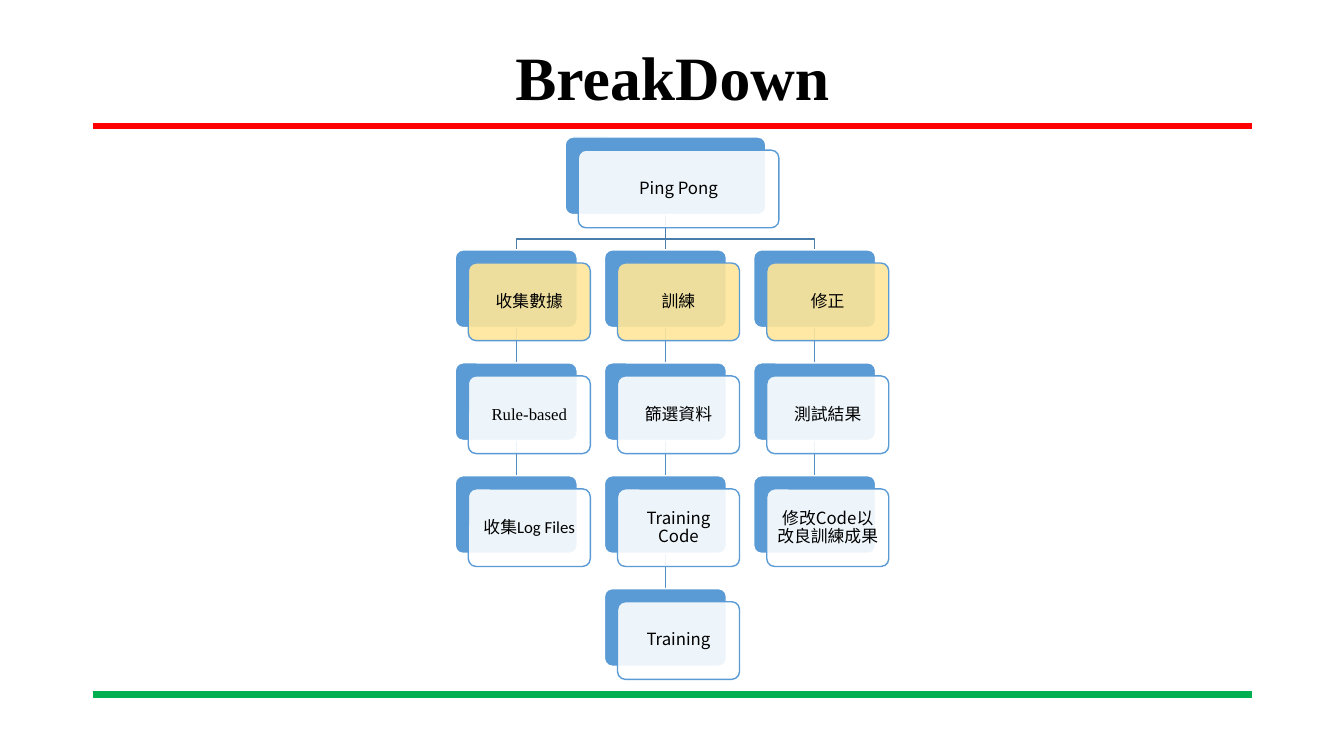
import pptx
import pptx.util
import pptx.dml.color
import pptx.enum.shapes
import pptx.enum.text
import pptx.oxml
import pptx.oxml.ns

Inches = pptx.util.Inches
Pt = pptx.util.Pt
RGBColor = pptx.dml.color.RGBColor

BLACK = RGBColor(0x00, 0x00, 0x00)
WHITE = RGBColor(0xFF, 0xFF, 0xFF)
RED = RGBColor(0xFF, 0x00, 0x00)
GREEN = RGBColor(0x00, 0xB0, 0x50)
BLUE = RGBColor(0x5B, 0x9B, 0xD5)
YELLOW = RGBColor(0xFF, 0xE6, 0x99)
ROOT_LINK = RGBColor(0x49, 0x7C, 0xAB)
STEP_LINK = RGBColor(0x53, 0x8D, 0xC1)

SERIF = "Times New Roman"
SANS = "Calibri"
CJK = "Noto Sans CJK TC"


class BreakdownSlide:
    margin, content_width = 0.92, 11.5
    center, top = 6.6, 1.36
    column_step, row_step = 1.48, 1.12
    card_height, offset = 0.77, 0.13
    elbow_drop = 0.24

    def __init__(self, deck):
        self.page = deck.slides.add_slide(deck.slide_layouts[5])
        self.shapes = self.page.shapes

    def column_x(self, column):
        return self.center + column * self.column_step

    def row_y(self, row):
        return self.top + row * self.row_step

    def format_text(self, frame, font, size, bold=False):
        frame.word_wrap = True
        frame.vertical_anchor = pptx.enum.text.MSO_ANCHOR.MIDDLE
        for para in frame.paragraphs:
            para.alignment = pptx.enum.text.PP_ALIGN.CENTER
            para.line_spacing = 0.9
            for span in para.runs:
                span.font.name = font
                span.font.size = Pt(size)
                span.font.bold = bold
                span.font.color.rgb = BLACK
                east_asian = pptx.oxml.parse_xml(
                    f'<a:ea {pptx.oxml.ns.nsdecls("a")} typeface="{CJK}"/>')
                span.font._element.find(pptx.oxml.ns.qn("a:latin")).addnext(east_asian)

    def title(self, text):
        box = self.shapes.title
        box.left, box.top = Inches(self.margin), Inches(0.4)
        box.width, box.height = Inches(self.content_width), Inches(0.79)
        box.text_frame.text = text
        self.format_text(box.text_frame, SERIF, 44, bold=True)

    def line(self, start, end, color, width):
        connector = self.shapes.add_connector(
            pptx.enum.shapes.MSO_CONNECTOR.STRAIGHT,
            *(Inches(value) for value in start + end))
        connector.line.color.rgb = color
        connector.line.width = Pt(width)
        connector._element.spPr.append(
            pptx.oxml.parse_xml(f'<a:effectLst {pptx.oxml.ns.nsdecls("a")}/>'))

    def rule(self, y, color):
        self.line((self.margin, y), (self.margin + self.content_width, y), color, 4.5)

    def link(self, column, row):
        x = self.column_x(column)
        start, end = self.row_y(row) + self.card_height, self.row_y(row + 1)
        self.line((x, start), (x, end), STEP_LINK if row else ROOT_LINK, 1)

    def elbow(self, column):
        x, start = self.column_x(column), self.row_y(0) + self.card_height
        bend = start + self.elbow_drop
        corners = [(self.center, start), (self.center, bend), (x, bend), (x, self.row_y(1))]
        first, *others = [(Inches(across), Inches(down)) for across, down in corners]
        builder = self.shapes.build_freeform(*first)
        builder.add_line_segments(others, close=False)
        branch = builder.convert_to_shape()
        branch.shadow.inherit = False
        branch.fill.background()
        branch.line.color.rgb = ROOT_LINK
        branch.line.width = Pt(1)

    def panel(self, left, top, width, fill, outline):
        panel = self.shapes.add_shape(
            pptx.enum.shapes.MSO_SHAPE.ROUNDED_RECTANGLE,
            Inches(left), Inches(top), Inches(width), Inches(self.card_height))
        panel.adjustments[0] = 0.1
        panel.shadow.inherit = False
        panel.fill.solid()
        panel.fill.fore_color.rgb = fill
        panel.line.color.rgb = outline
        panel.line.width = Pt(1)
        return panel

    def card(self, column, row, text, font=CJK, fill=WHITE, width=1.21):
        left, top = self.column_x(column) - width / 2, self.row_y(row)
        self.panel(left, top, width, BLUE, WHITE)
        front = self.panel(left + self.offset, top + self.offset, width, fill, BLUE)
        color = front._element.spPr.find(".//" + pptx.oxml.ns.qn("a:srgbClr"))
        color.append(pptx.oxml.parse_xml(
            f'<a:alpha {pptx.oxml.ns.nsdecls("a")} val="90000"/>'))
        frame = front.text_frame
        frame.margin_left = frame.margin_right = Inches(0.05)
        frame.margin_top = frame.margin_bottom = Inches(0.05)
        frame.text = text
        self.format_text(frame, font, 12)


BRANCHES = {
    -1: [("收集數據", SANS), ("Rule-based", SERIF), ("收集Log Files", SANS)],
    0: [("訓練", SANS), ("篩選資料", CJK), ("Training Code", CJK), ("Training", CJK)],
    1: [("修正", CJK), ("測試結果", CJK), ("修改Code以改良訓練成果", CJK)],
}

deck = pptx.Presentation()
deck.slide_width, deck.slide_height = Inches(13.33), Inches(7.5)

slide = BreakdownSlide(deck)
slide.rule(1.25, RED)
slide.rule(6.89, GREEN)
slide.title("BreakDown")

for column, steps in BRANCHES.items():
    if column:
        slide.elbow(column)
    else:
        slide.link(column, 0)
    for row in range(1, len(steps)):
        slide.link(column, row)

slide.card(0, 0, "Ping Pong", width=1.99)
for column, steps in BRANCHES.items():
    for row, (text, font) in enumerate(steps, start=1):
        slide.card(column, row, text, font, YELLOW if row == 1 else WHITE)

deck.save("out.pptx")
